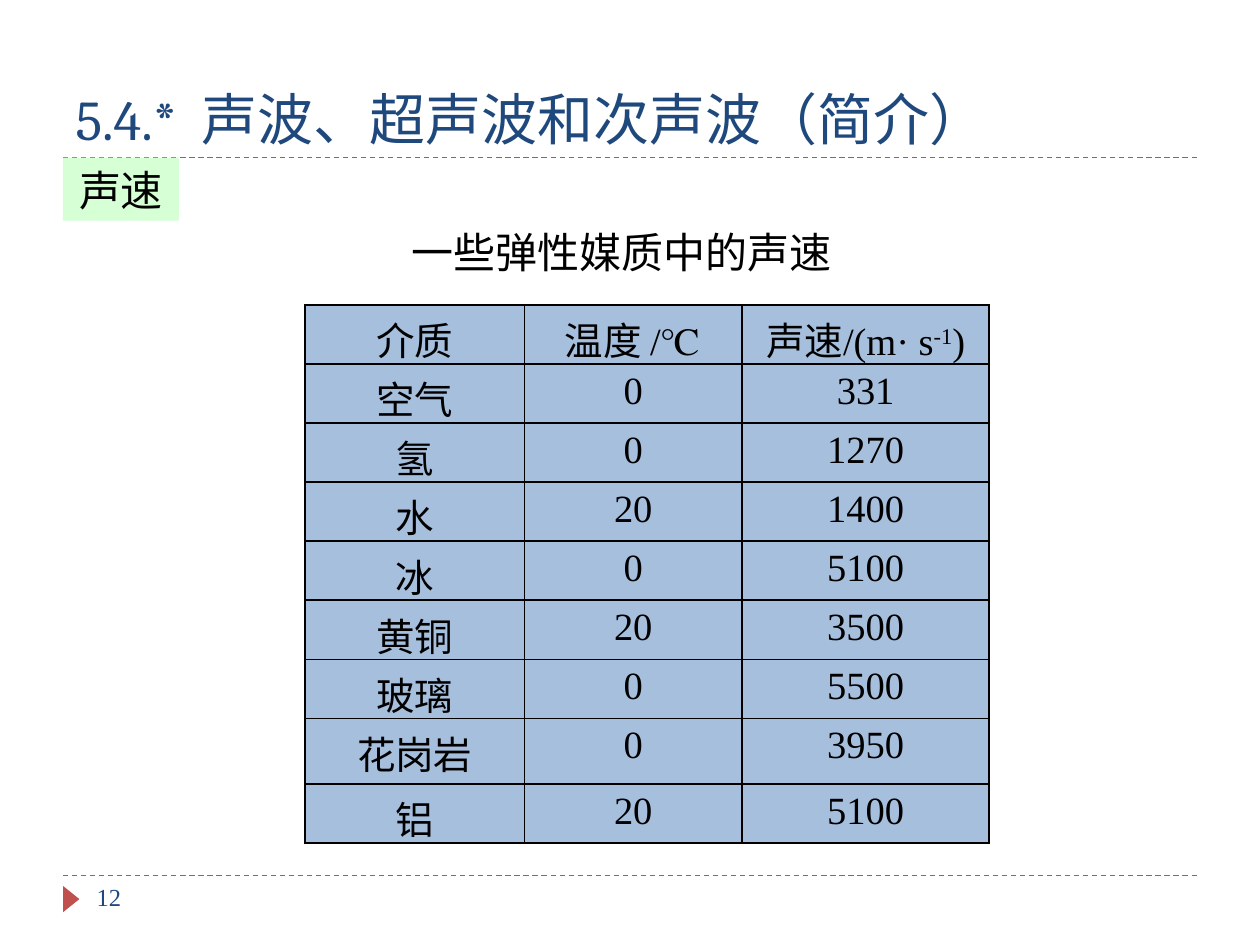
from lxml import etree
from pptx import Presentation
from pptx.dml.color import RGBColor
from pptx.enum.dml import MSO_LINE
from pptx.enum.shapes import MSO_CONNECTOR, MSO_SHAPE
from pptx.enum.text import MSO_ANCHOR, PP_ALIGN
from pptx.oxml import parse_xml
from pptx.oxml.ns import nsdecls, qn
from pptx.util import Cm, Pt

DASH = MSO_LINE.DASH
STRAIGHT = MSO_CONNECTOR.STRAIGHT
RECTANGLE, TRIANGLE = MSO_SHAPE.RECTANGLE, MSO_SHAPE.ISOSCELES_TRIANGLE
BOTTOM, MIDDLE = MSO_ANCHOR.BOTTOM, MSO_ANCHOR.MIDDLE
LEFT, CENTER = PP_ALIGN.LEFT, PP_ALIGN.CENTER

# Content
TITLE = "5.4.*  声波、超声波和次声波（简介）"
LABEL = "声速"
CAPTION = "一些弹性媒质中的声速"
PAGE_NUMBER = "12"
SUPERSCRIPT = "-1"
SOUND_SPEEDS = [
    ("介质", "温度 /℃", "声速/(m· s-1)"),
    ("空气", "0", "331"),
    ("氢", "0", "1270"),
    ("水", "20", "1400"),
    ("冰", "0", "5100"),
    ("黄铜", "20", "3500"),
    ("玻璃", "0", "5500"),
    ("花岗岩", "0", "3950"),
    ("铝", "20", "5100"),
]

COLORS = {"navy": "1F497D", "red": "C0504D", "green": "CCFFCC",
          "blue": "4F81BD", "black": "000000"}
SERIF = "Times New Roman"

# Layout in centimetres
MARGIN, CONTENT_WIDTH = 1.27, 22.86
RULE_TOPS = (3.18, 17.65)
COLUMN_WIDTHS = (4.42, 4.39, 4.98)
ROW_HEIGHT, TALL_ROW_HEIGHT, TALL_ROW = 1.19, 1.32, 7


def rgb(name):
    return RGBColor.from_string(COLORS[name])


def set_fill(fill, color, opacity=100):
    fill.solid()
    fill.fore_color.rgb = rgb(color)
    if opacity < 100:
        color_element = fill._xPr.find(qn("a:solidFill"))[0]
        etree.SubElement(color_element, qn("a:alpha"), val=str(opacity * 1000))


def format_paragraph(paragraph, size, font, color, alignment=LEFT):
    paragraph.alignment = alignment
    paragraph.font.size = Pt(size)
    paragraph.font.name = font
    paragraph.font.bold = False
    paragraph.font.color.rgb = rgb(color)


def add_text(slide, box, text, size, color):
    frame = slide.shapes.add_textbox(*map(Cm, box)).text_frame
    frame.word_wrap = True
    frame.text = text
    format_paragraph(frame.paragraphs[0], size, SERIF, color)


def add_plain_shape(slide, kind, box, color, opacity=100):
    shape = slide.shapes.add_shape(kind, *map(Cm, box))
    shape.shadow.inherit = False
    shape.line.fill.background()
    set_fill(shape.fill, color, opacity)
    return shape


def add_rule(slide, top):
    rule = slide.shapes.add_connector(
        STRAIGHT, Cm(MARGIN), Cm(top), Cm(MARGIN + CONTENT_WIDTH), Cm(top))
    rule.line.color.rgb = rgb("red")
    rule.line.width = Pt(0.75)
    rule.line.dash_style = DASH
    etree.SubElement(rule._element.spPr, qn("a:effectLst"))


def add_borders(cell):
    properties = cell._tc.get_or_add_tcPr()
    for side in ("lnL", "lnR", "lnT", "lnB"):
        properties.append(parse_xml(
            f'<a:{side} {nsdecls("a")} w="{Pt(1)}"><a:solidFill>'
            f'<a:srgbClr val="{COLORS["black"]}"/></a:solidFill></a:{side}>'))


def fill_cell(cell, text):
    add_borders(cell)
    set_fill(cell.fill, "blue", 50)
    paragraph = cell.text_frame.paragraphs[0]
    before, exponent, after = text.partition(SUPERSCRIPT)
    for part in filter(None, (before, exponent, after)):
        run = paragraph.add_run()
        run.text = part
        if part == SUPERSCRIPT:
            run._r.get_or_add_rPr().set("baseline", "30000")
    format_paragraph(paragraph, 22, SERIF, "black", CENTER)


def add_speed_table(slide):
    heights = [ROW_HEIGHT] * len(SOUND_SPEEDS)
    heights[TALL_ROW] = TALL_ROW_HEIGHT
    table = slide.shapes.add_table(
        len(heights), len(COLUMN_WIDTHS), Cm(6.15), Cm(6.15),
        Cm(sum(COLUMN_WIDTHS)), Cm(sum(heights))).table
    table.first_row = table.horz_banding = False
    for column, width in zip(table.columns, COLUMN_WIDTHS):
        column.width = Cm(width)
    for row, height, texts in zip(table.rows, heights, SOUND_SPEEDS):
        row.height = Cm(height)
        for cell, text in zip(row.cells, texts):
            fill_cell(cell, text)


def main():
    presentation = Presentation()
    presentation.slide_width, presentation.slide_height = Cm(25.4), Cm(19.05)
    slide = presentation.slides.add_slide(presentation.slide_layouts[5])

    # Rules and page marker
    for top in RULE_TOPS:
        add_rule(slide, top)
    marker = add_plain_shape(slide, TRIANGLE, (1.17, 17.96, 0.53, 0.33), "red")
    marker.rotation = 90
    add_text(slide, (1.7, 17.65, 5.51, 1.02), PAGE_NUMBER, 14, "navy")

    # Title
    title = slide.shapes.title
    title.left, title.top = Cm(MARGIN), Cm(0.64)
    title.width, title.height = Cm(CONTENT_WIDTH), Cm(2.54)
    title.text_frame.text = TITLE
    title.text_frame.vertical_anchor = BOTTOM
    format_paragraph(title.text_frame.paragraphs[0], 32, "Cambria", "navy")

    # Section label and table caption
    label = add_plain_shape(
        slide, RECTANGLE, (MARGIN, RULE_TOPS[0], 2.34, 1.27), "green", 80)
    label.text_frame.word_wrap = False
    label.text_frame.vertical_anchor = MIDDLE
    label.text_frame.text = LABEL
    format_paragraph(label.text_frame.paragraphs[0], 24, "Arial", "black", CENTER)
    add_text(slide, (8.05, 4.45, 11, 1.27), CAPTION, 24, "black")

    add_speed_table(slide)
    presentation.save("out.pptx")


if __name__ == "__main__":
    main()
